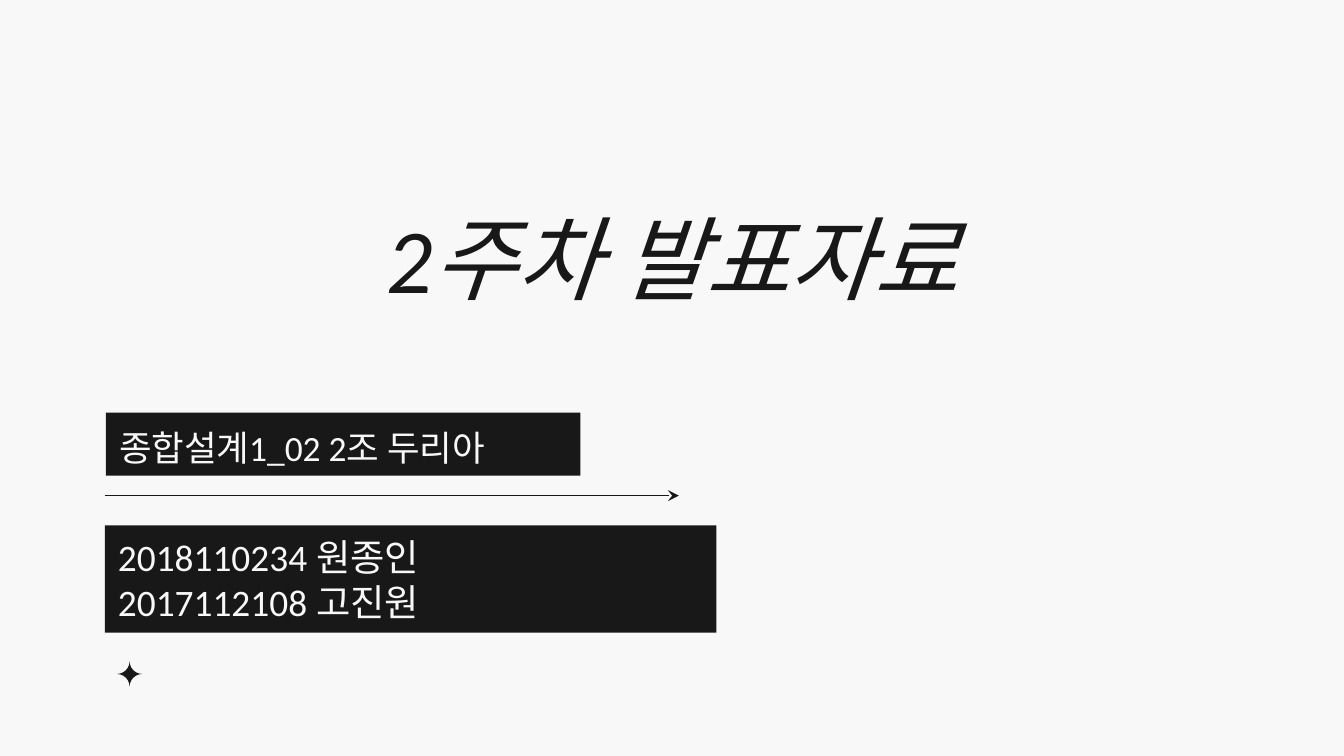
"""Build the title slide of the week 2 presentation."""
from lxml.etree import SubElement
from pptx import Presentation
from pptx.dml.color import RGBColor
from pptx.enum.shapes import MSO_CONNECTOR, MSO_SHAPE
from pptx.enum.text import MSO_ANCHOR, MSO_AUTO_SIZE, PP_ALIGN
from pptx.oxml.ns import qn
from pptx.util import Cm, Pt

DARK, LIGHT = "181818", "F8F8F8"
TITLE = ["2주차 발표자료"]
TEAM = ["종합설계1_02 2조 두리아"]
MEMBERS = ["2018110234 원종인", "2017112108 고진원"]
LEFT = 1.98


def paint(target, color):
    target.solid()
    target.fore_color.rgb = RGBColor.from_string(color)


def write(box, lines, at, size, color=LIGHT, fill=None, italic=False,
          align=PP_ALIGN.LEFT, anchor=MSO_ANCHOR.MIDDLE):
    box.left, box.top, box.width, box.height = map(Cm, at)
    if fill:
        paint(box.fill, fill)
    frame = box.text_frame
    frame.text = "\n".join(lines)
    frame.word_wrap = True
    frame.auto_size = MSO_AUTO_SIZE.NONE
    frame.vertical_anchor = anchor
    frame.margin_left = frame.margin_right = Cm(0.25)
    frame.margin_top = frame.margin_bottom = Cm(0.25)
    for para in frame.paragraphs:
        para.alignment = align
        para.space_before = Pt(0)
        for span in para.runs:
            span.font.name = "Calibri"
            span.font.size = Pt(size)
            span.font.italic = italic
            paint(span.font.fill, color)


def add_arrow(page, left, right, top):
    arrow = page.shapes.add_connector(
        MSO_CONNECTOR.STRAIGHT, Cm(left), Cm(top), Cm(right), Cm(top))
    paint(arrow.line.fill, DARK)
    arrow.line.width = Pt(0.75)
    properties = arrow._element.spPr
    SubElement(properties.find(qn("a:ln")), qn("a:tailEnd"), type="stealth")
    SubElement(properties, qn("a:effectLst"))


def add_star(page, left, top, size):
    star = page.shapes.add_shape(
        MSO_SHAPE.PLAQUE, Cm(left), Cm(top), Cm(size), Cm(size))
    star.adjustments[0] = 0.5
    star.shadow.inherit = False
    paint(star.fill, DARK)
    star.line.fill.background()


def main():
    deck = Presentation()
    deck.slide_width, deck.slide_height = Cm(25.4), Cm(14.29)
    page = deck.slides.add_slide(deck.slide_layouts[0])
    paint(page.background.fill, LIGHT)
    title, members = page.placeholders
    team = page.shapes.add_textbox(0, 0, 0, 0)

    write(title, TITLE, (5.59, 1.68, 14.22, 6.35), 49, color=DARK,
          italic=True, align=PP_ALIGN.CENTER)
    write(team, TEAM, (2, 7.8, 8.97, 1.19), 19, fill=DARK,
          anchor=MSO_ANCHOR.TOP)
    add_arrow(page, LEFT, 12.83, 9.37)
    write(members, MEMBERS, (LEFT, 9.93, 11.56, 2.03), 20, fill=DARK)
    add_star(page, 2.21, 12.5, 0.48)
    deck.save("out.pptx")


if __name__ == "__main__":
    main()
